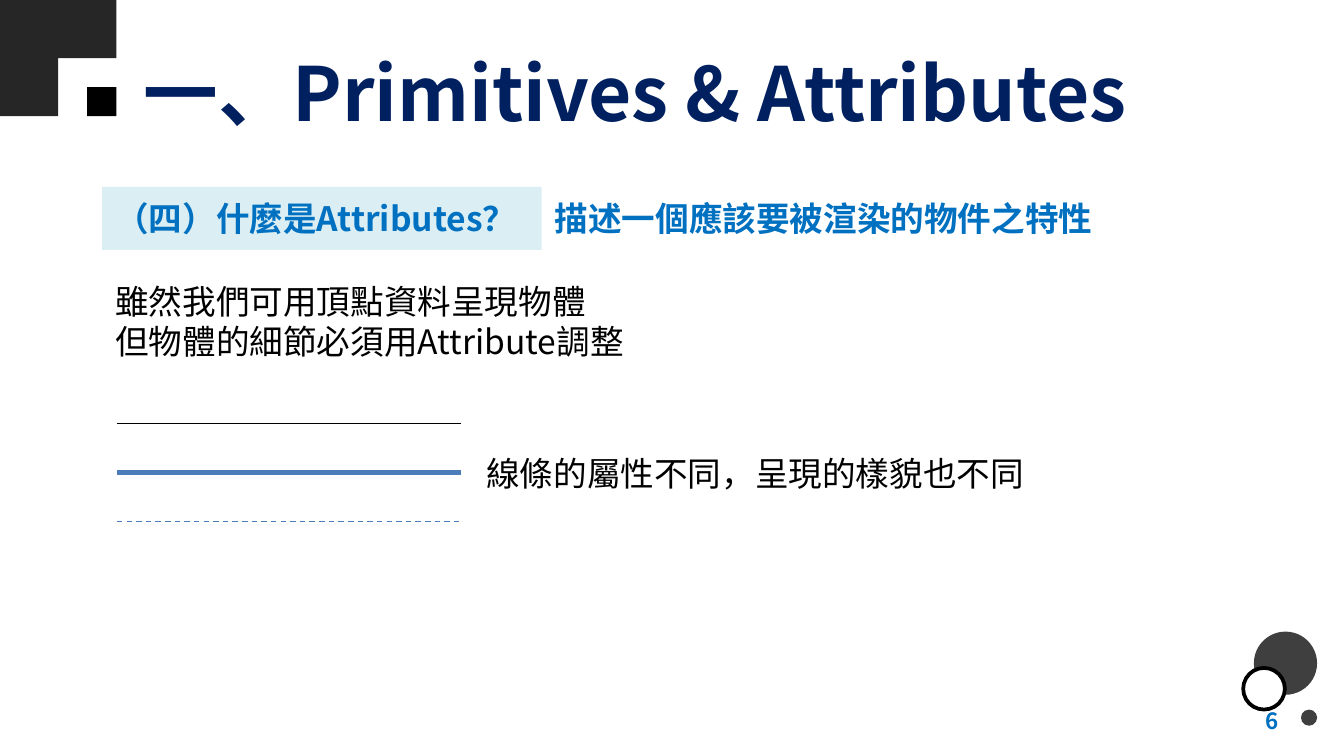
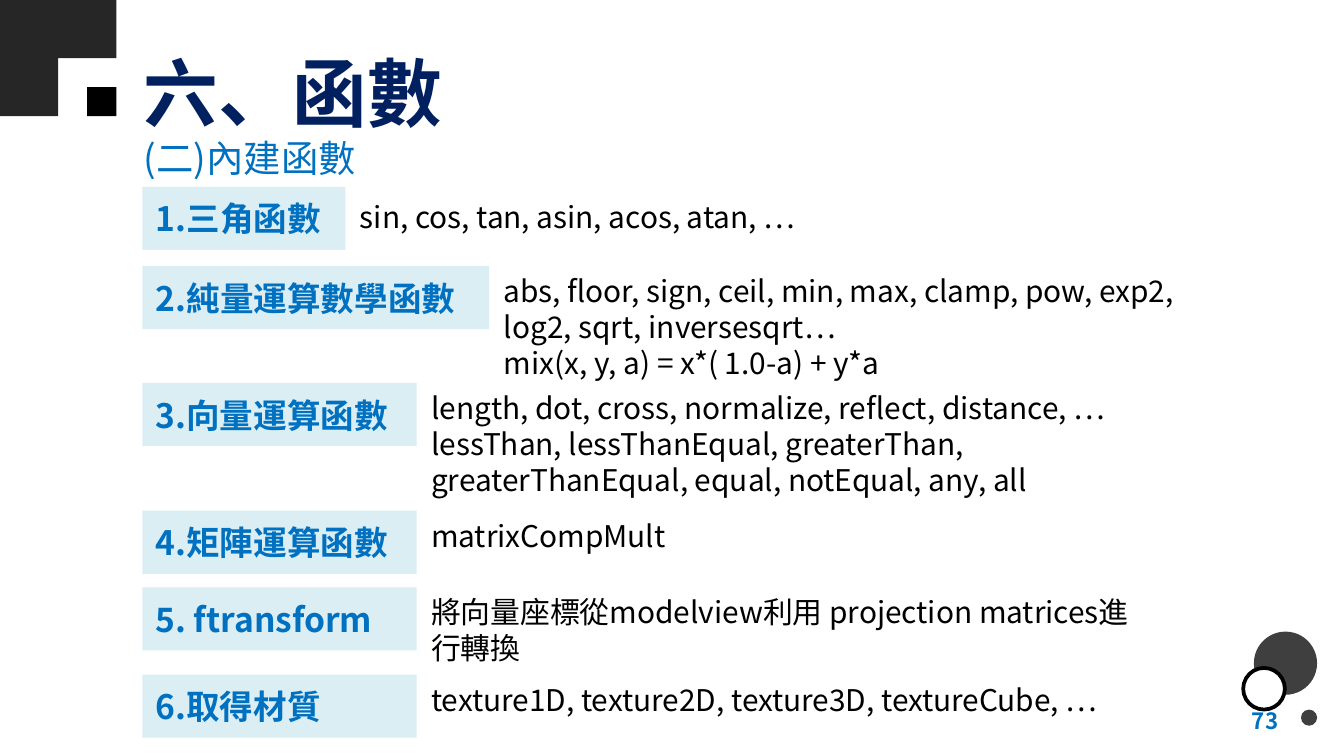
import pptx
import pptx.util
import pptx.dml.color
import pptx.enum.dml
import pptx.enum.shapes
import pptx.enum.text
import pptx.oxml.ns
import lxml.etree

W = 10
H = W * 9 / 16
FONT = "Noto Sans CJK TC"
COLORS = {
    "title": "002060", "accent": "0070C0", "band": "DAEEF3", "text": "000000",
    "corner": "262626", "dot": "3F3F3F", "white": "FFFFFF", "line": "4A7DBA",
}
BLOCK = H / 13
BAND_H = 0.47
CORNER = [(0, 0, 1, "corner"), (1, 0, 1, "corner"), (0, 1, 1, "corner"), (1.5, 1.5, 0.5, "text")]
DOTS = [(9.33, 4.7, 0.47, "dot", None), (9.68, 5.28, 0.12, "dot", None),
        (9.25, 4.97, 0.31, "white", "text")]

ATTRIBUTES = {
    "title": "一、Primitives & Attributes", "number": "6", "width": 7.82,
    "heading": "（四）什麼是Attributes？",
    "meaning": "描述一個應該要被渲染的物件之特性",
    "detail": ["雖然我們可用頂點資料呈現物體", "但物體的細節必須用Attribute調整"],
    "caption": "線條的屬性不同，呈現的樣貌也不同",
    "lines": [("text", 0.75, False), ("line", 3, False), ("line", 0.75, True)],
}
FUNCTIONS = {
    "title": "六、函數", "number": "73", "width": 4.66, "subtitle": "(二)內建函數",
    "rows": [
        (1.39, 1.51, "1.三角函數", ["sin, cos, tan, asin, acos, atan, …"]),
        (1.98, 2.58, "2.純量運算數學函數",
         ["abs, floor, sign, ceil, min, max, clamp, pow, exp2, log2, sqrt, inversesqrt…",
          "mix(x, y, a) = x*( 1.0-a) + y*a"]),
        (2.85, 2.04, "3.向量運算函數",
         ["length, dot, cross, normalize, reflect, distance, …",
          "lessThan, lessThanEqual, greaterThan, greaterThanEqual, equal, notEqual, any, all"]),
        (3.8, 2.04, "4.矩陣運算函數", ["matrixCompMult"]),
        (4.37, 2.04, "5. ftransform",
         ["將向量座標從modelview利用 projection matrices進行轉換"]),
        (5.02, 2.04, "6.取得材質", ["texture1D, texture2D, texture3D, textureCube, …"]),
    ],
}

SHAPE = pptx.enum.shapes.MSO_SHAPE
ANCHOR = pptx.enum.text.MSO_ANCHOR
ALIGN = pptx.enum.text.PP_ALIGN


def inches(*lengths):
    return [pptx.util.Inches(n) for n in lengths]


def rgb(name):
    return pptx.dml.color.RGBColor.from_string(COLORS[name])


def write(sp, lines, size, color="text", bold=False, anchor=ANCHOR.MIDDLE, align=ALIGN.LEFT):
    tf = sp.text_frame
    tf.word_wrap = True
    tf.vertical_anchor = anchor
    for i, line in enumerate(lines):
        p = tf.paragraphs[0] if i == 0 else tf.add_paragraph()
        p.alignment = align
        r = p.add_run()
        r.text = line
        r.font.size = pptx.util.Pt(size)
        r.font.bold = bold
        r.font.name = FONT
        r.font.color.rgb = rgb(color)
        ea = lxml.etree.SubElement(r.font._element, pptx.oxml.ns.qn("a:ea"))
        ea.set("typeface", FONT)


def add_text(s, box, lines, size, **style):
    write(s.shapes.add_textbox(*inches(*box)), lines, size, **style)


def add_filled(shapes, kind, box, fill, line=None):
    sp = shapes.add_shape(kind, *inches(*box))
    sp.shadow.inherit = False
    sp.fill.solid()
    sp.fill.fore_color.rgb = rgb(fill)
    if line:
        sp.line.color.rgb = rgb(line)
        sp.line.width = pptx.util.Pt(2)
    else:
        sp.line.fill.background()
    return sp


def add_band(s, x, y, w, label):
    sp = add_filled(s.shapes, SHAPE.RECTANGLE, (x, y, w, BAND_H), "band")
    write(sp, [label], 18, color="accent", bold=True)


def add_line(s, x1, x2, y, color, width, dashed):
    sp = s.shapes.add_connector(pptx.enum.shapes.MSO_CONNECTOR.STRAIGHT, *inches(x1, y, x2, y))
    sp.line.color.rgb = rgb(color)
    sp.line.width = pptx.util.Pt(width)
    if dashed:
        sp.line.dash_style = pptx.enum.dml.MSO_LINE.DASH
    lxml.etree.SubElement(sp._element.spPr, pptx.oxml.ns.qn("a:effectLst"))


def add_base(prs, content):
    s = prs.slides.add_slide(prs.slide_layouts[6])
    add_text(s, (0.97, 0.21, content["width"], 0.94), [content["title"]], 40,
             color="title", bold=True)
    corner = s.shapes.add_group_shape().shapes
    for col, row, share, fill in CORNER:
        box = [BLOCK * n for n in (col, row, share, share)]
        add_filled(corner, SHAPE.RECTANGLE, box, fill)
    dots = s.shapes.add_group_shape().shapes
    for x, y, size, fill, line in DOTS:
        add_filled(dots, SHAPE.OVAL, (x, y, size, size), fill, line)
    add_text(s, (7.28, 5.21, 2.33, 0.3), [content["number"]], 12,
             color="accent", bold=True, align=ALIGN.RIGHT)
    return s


def build_attributes(prs, content):
    s = add_base(prs, content)
    left, top, band_w, text_w = 0.76, 1.39, 3.27, 4.57
    add_band(s, left, top, band_w, content["heading"])
    add_text(s, (left + band_w, top, text_w, BAND_H), [content["meaning"]], 18,
             color="accent", bold=True)
    first, last = 3.15, 3.88
    gap = (last - first) / (len(content["lines"]) - 1)
    for i, (color, width, dashed) in enumerate(content["lines"]):
        add_line(s, 0.87, 3.43, first + i * gap, color, width, dashed)
    add_text(s, (left, 2.02, text_w, 0.74), content["detail"], 18)
    add_text(s, (3.52, first, text_w, 0.74), [content["caption"]], 18)


def build_functions(prs, content):
    s = add_base(prs, content)
    add_text(s, (0.97, 0.96, 4.49, 0.44), [content["subtitle"]], 20,
             color="accent", anchor=ANCHOR.TOP)
    left = 1.06
    for i, (y, w, label, lines) in enumerate(content["rows"]):
        add_band(s, left, y, w, label)
        top = y if i else y + 0.04
        add_text(s, (left + w + 0.01, top, 5.4, 0.1 + 0.27 * len(lines)), lines, 16,
                 anchor=ANCHOR.TOP)


def main():
    """Build the two slides and save them."""
    prs = pptx.Presentation()
    prs.slide_width, prs.slide_height = inches(W, H)
    build_attributes(prs, ATTRIBUTES)
    build_functions(prs, FUNCTIONS)
    prs.save("out.pptx")


if __name__ == "__main__":
    main()
